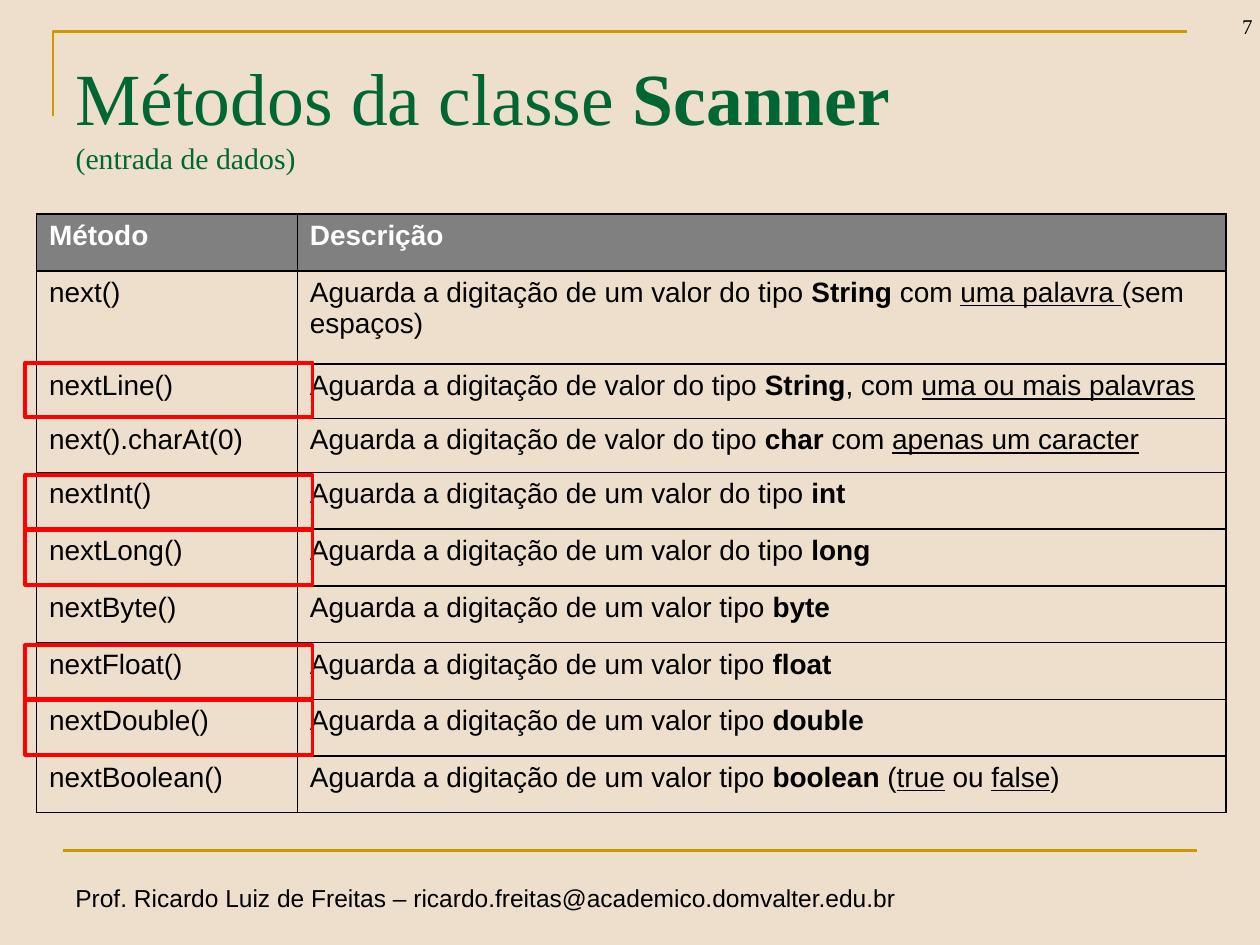
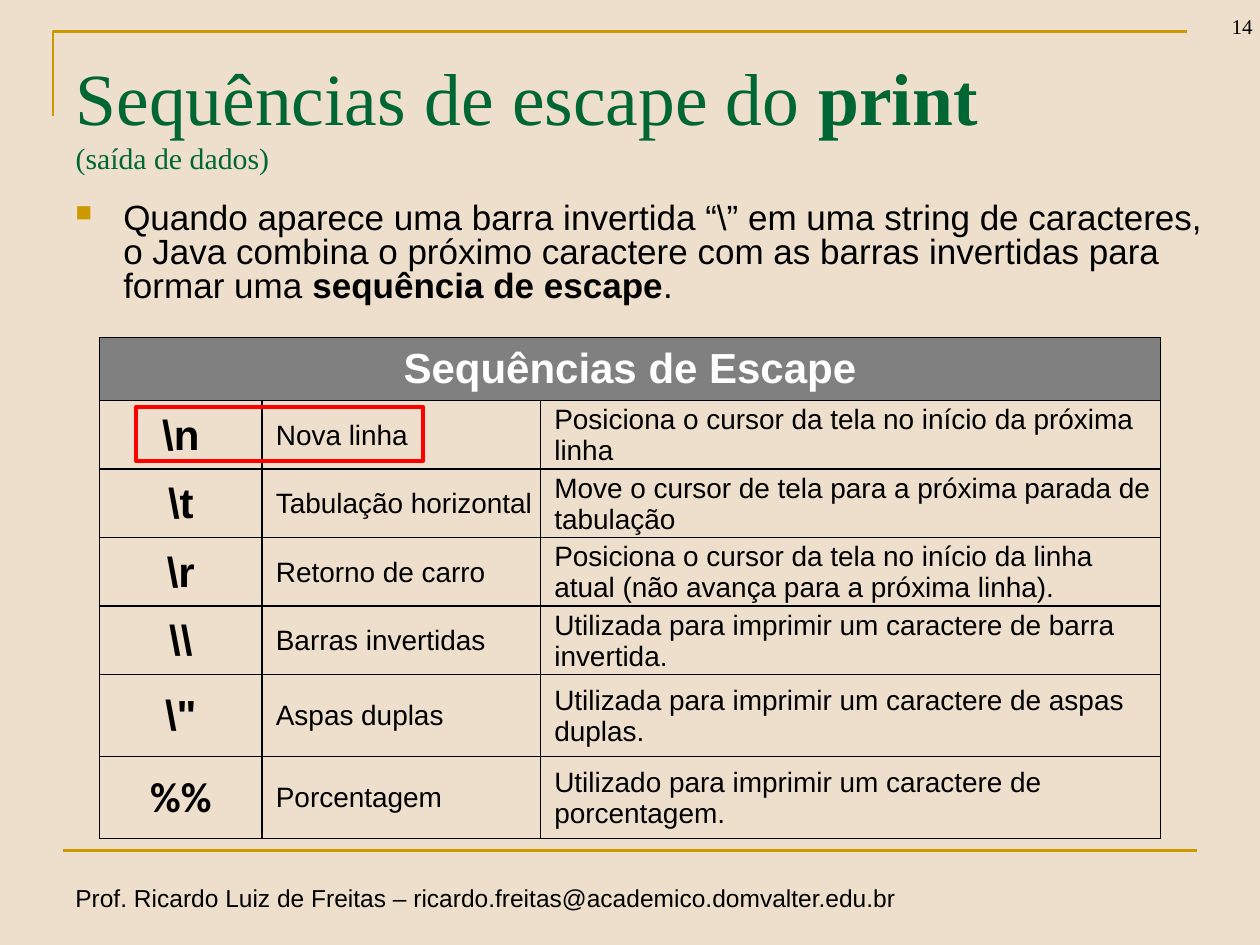
from lxml.etree import SubElement
from pptx import Presentation
from pptx.dml.color import RGBColor
from pptx.enum.shapes import MSO_CONNECTOR, MSO_SHAPE
from pptx.enum.text import MSO_ANCHOR as Anchor, MSO_AUTO_SIZE as AutoSize, PP_ALIGN as Align
from pptx.oxml.ns import qn
from pptx.util import Inches, Pt

SAND, GOLD, GREEN = "EEDFCC", "CC9900", "006633"
BLACK, WHITE, GRAY, RED = "000000", "FFFFFF", "808080", "FF0000"
SANS, SERIF = "Arial", "Times New Roman"
FOOTER = "Prof. Ricardo Luiz de Freitas – ricardo.freitas@academico.domvalter.edu.br"
TITLE_ONLY = 5

METHODS = [
    ("Método", "Descrição"),
    ("next()", "Aguarda a digitação de um valor do tipo *String* com _uma palavra _(sem espaços)"),
    ("nextLine()", "Aguarda a digitação de valor do tipo *String*, com _uma ou mais palavras_"),
    ("next().charAt(0)", "Aguarda a digitação de valor do tipo *char* com _apenas um caracter_"),
    ("nextInt()", "Aguarda a digitação de um valor do tipo *int*"),
    ("nextLong()", "Aguarda a digitação de um valor do tipo *long*"),
    ("nextByte()", "Aguarda a digitação de um valor tipo *byte*"),
    ("nextFloat()", "Aguarda a digitação de um valor tipo *float*"),
    ("nextDouble()", "Aguarda a digitação de um valor tipo *double*"),
    ("nextBoolean()", "Aguarda a digitação de um valor tipo *boolean *(_true_ ou _false_)"),
]
ESCAPES = [
    ("\\n", "Nova linha", "Posiciona o cursor da tela no início da próxima linha"),
    ("\\t", "Tabulação horizontal", "Move o cursor de tela para a próxima parada de tabulação"),
    ("\\r", "Retorno de carro",
     "Posiciona o cursor da tela no início da linha atual (não avança para a próxima linha)."),
    ("\\\\", "Barras invertidas", "Utilizada para imprimir um caractere de barra invertida."),
    ('\\"', "Aspas duplas", "Utilizada para imprimir um caractere de aspas duplas."),
    ("%%", "Porcentagem", "Utilizado para imprimir um caractere de porcentagem."),
]


def color(hex_text):
    return RGBColor.from_string(hex_text)


def set_font(font, size, name=SANS, fill=BLACK):
    font.size, font.name = Pt(size), name
    font.color.rgb = color(fill)


def add_marked_text(para, text):
    """Add runs, with *bold* and _underlined_ parts."""
    for i, part in enumerate(text.split("*")):
        for j, piece in enumerate(part.split("_")):
            if piece:
                span = para.add_run()
                span.text = piece
                if i % 2:
                    span.font.bold = True
                if j % 2:
                    span.font.underline = True


def add_text(page, at, text, size, name=SANS, wrap=True):
    box = page.shapes.add_textbox(*map(Inches, at))
    box.text_frame.word_wrap = wrap
    para = box.text_frame.paragraphs[0]
    set_font(para.font, size, name)
    add_marked_text(para, text)
    return box.text_frame


def style_line(shape, fill, width):
    shape.line.color.rgb = color(fill)
    shape.line.width = Pt(width)


def add_frame(page):
    """Add the gold corner, the footer rule and the footer text."""
    builder = page.shapes.build_freeform(Inches(0.42), Inches(0.92), scale=1.0)
    builder.add_line_segments(
        [(Inches(0.42), Inches(0.25)), (Inches(9.42), Inches(0.25))], close=False)
    corner = builder.convert_to_shape()
    corner.fill.background()
    corner.shadow.inherit = False
    style_line(corner, GOLD, 1.5)

    rule = page.shapes.add_connector(
        MSO_CONNECTOR.STRAIGHT, Inches(0.5), Inches(6.75), Inches(9.5), Inches(6.75))
    style_line(rule, GOLD, 1.5)
    SubElement(rule._element.spPr, qn("a:effectLst"))
    add_text(page, (0.5, 6.96, 6.86, 0.34), FOOTER, 14, wrap=False)


def add_title(page, heading, subtitle):
    title = page.shapes.title
    title.left, title.top, title.width, title.height = map(Inches, (0.5, 0.3, 9, 1.25))
    frame = title.text_frame
    frame.auto_size, frame.vertical_anchor = AutoSize.NONE, Anchor.TOP
    frame.margin_top = Inches(0.11)
    para = frame.paragraphs[0]
    para.alignment = Align.LEFT
    set_font(para.font, 42, SERIF, GREEN)
    add_marked_text(para, heading)
    para.add_line_break()
    span = para.add_run()
    span.text = subtitle
    span.font.size = Pt(17)


def add_page(deck, number, heading, subtitle):
    page = deck.slides.add_slide(deck.slide_layouts[TITLE_ONLY])
    add_frame(page)
    frame = add_text(page, (9.29, -0.14, 0.75, 0.5), str(number), 12, SERIF)
    frame.vertical_anchor = Anchor.BOTTOM
    frame.paragraphs[0].alignment = Align.RIGHT
    add_title(page, heading, subtitle)
    return page


def add_grid(page, left, top, widths, heights):
    grid = page.shapes.add_table(
        len(heights), len(widths), Inches(left), Inches(top),
        Inches(sum(widths)), Inches(sum(heights))).table
    grid.first_row = grid.horz_banding = False
    for column, width in zip(grid.columns, widths):
        column.width = Inches(width)
    for row, height in zip(grid.rows, heights):
        row.height = Inches(height)
    for cell in grid.iter_cells():
        add_borders(cell)
        cell.fill.background()
    return grid


def add_borders(cell):
    props = cell._tc.get_or_add_tcPr()
    for side in ("a:lnL", "a:lnR", "a:lnT", "a:lnB"):
        line = SubElement(props, qn(side), w=str(Pt(1)))
        fill = SubElement(line, qn("a:solidFill"))
        SubElement(fill, qn("a:srgbClr"), val=BLACK)


def fill_cell(cell, text, size=16, bold=False, name=SANS, align=Align.LEFT, marked=True):
    para = cell.text_frame.paragraphs[0]
    para.alignment = align
    set_font(para.font, size, name)
    para.font.bold = bold
    if marked:
        add_marked_text(para, text)
    else:
        para.add_run().text = text
    for span in para.runs:
        set_font(span.font, size, name)
        span.font.bold = bold or span.font.bold


def fill_header(cell, text, size=16, align=Align.LEFT):
    fill_cell(cell, text, size, bold=True, align=align)
    cell.text_frame.paragraphs[0].runs[0].font.color.rgb = color(WHITE)
    cell.fill.solid()
    cell.fill.fore_color.rgb = color(GRAY)


def add_highlight(page, left, top):
    mark = page.shapes.add_shape(
        MSO_SHAPE.FLOWCHART_PROCESS, *map(Inches, (left, top, 2.28, 0.43)))
    mark.fill.background()
    mark.shadow.inherit = False
    style_line(mark, RED, 2.25)


def add_bullet(page, at, text):
    para = add_text(page, at, text, 20).paragraphs[0]
    para.line_spacing = 0.8
    para.space_before = Pt(4)
    props = para._p.get_or_add_pPr()
    props.set("marL", str(Inches(0.38)))
    props.set("indent", str(-Inches(0.38)))
    # Bullet elements belong between the spacing and the default run properties.
    font_props = props.find(qn("a:defRPr"))
    bullet_color = SubElement(props, qn("a:buClr"))
    SubElement(bullet_color, qn("a:srgbClr"), val=GOLD)
    SubElement(props, qn("a:buSzPct"), val="65000")
    SubElement(props, qn("a:buChar"), char="■")
    if font_props is not None:
        props.append(font_props)


def build_methods_page(deck):
    page = add_page(deck, 7, "Métodos da classe *Scanner*", "(entrada de dados)")
    heights = [0.45, 0.74, 0.43, 0.43] + [0.45] * 6
    grid = add_grid(page, 0.29, 1.7, [2.07, 7.37], heights)
    for r, texts in enumerate(METHODS):
        for c, text in enumerate(texts):
            (fill_cell if r else fill_header)(grid.cell(r, c), text)
    for top in (2.88, 3.77, 4.21, 5.12, 5.56):
        add_highlight(page, 0.2, top)


def build_escapes_page(deck):
    page = add_page(deck, 14, "Sequências de escape do* print*", "(saída de dados)")
    heights = [0.47] + [0.5] * 4 + [0.65] * 2
    grid = add_grid(page, 0.79, 2.68, [1.29, 2.21, 4.92], heights)
    header = grid.cell(0, 0)
    header.merge(grid.cell(0, 2))
    header.vertical_anchor = Anchor.MIDDLE
    fill_header(header, "Sequências de Escape", 24, Align.CENTER)
    for r, texts in enumerate(ESCAPES, 1):
        for c, text in enumerate(texts):
            cell = grid.cell(r, c)
            cell.vertical_anchor = Anchor.MIDDLE
            cell.margin_left = Inches(0.11 if c else 0.01)
            cell.margin_right = cell.margin_top = Inches(0.01)
            cell.margin_bottom = 0
            if c:
                fill_cell(cell, text)
            else:
                name = "Calibri" if text == "%%" else SANS
                fill_cell(cell, text, 24, True, name, Align.CENTER, marked=False)
    add_bullet(page, (0.5, 1.57, 9.15, 0.91),
               "Quando aparece uma barra invertida “\\” em uma string de caracteres, "
               "o Java combina o próximo caractere com as barras invertidas para "
               "formar uma *sequência de escape*.")
    add_highlight(page, 1.08, 3.23)


def main():
    deck = Presentation()
    deck.slide_width, deck.slide_height = Inches(10), Inches(7.5)
    background = deck.slide_master.background.fill
    background.solid()
    background.fore_color.rgb = color(SAND)
    build_methods_page(deck)
    build_escapes_page(deck)
    deck.save("out.pptx")


if __name__ == "__main__":
    main()
